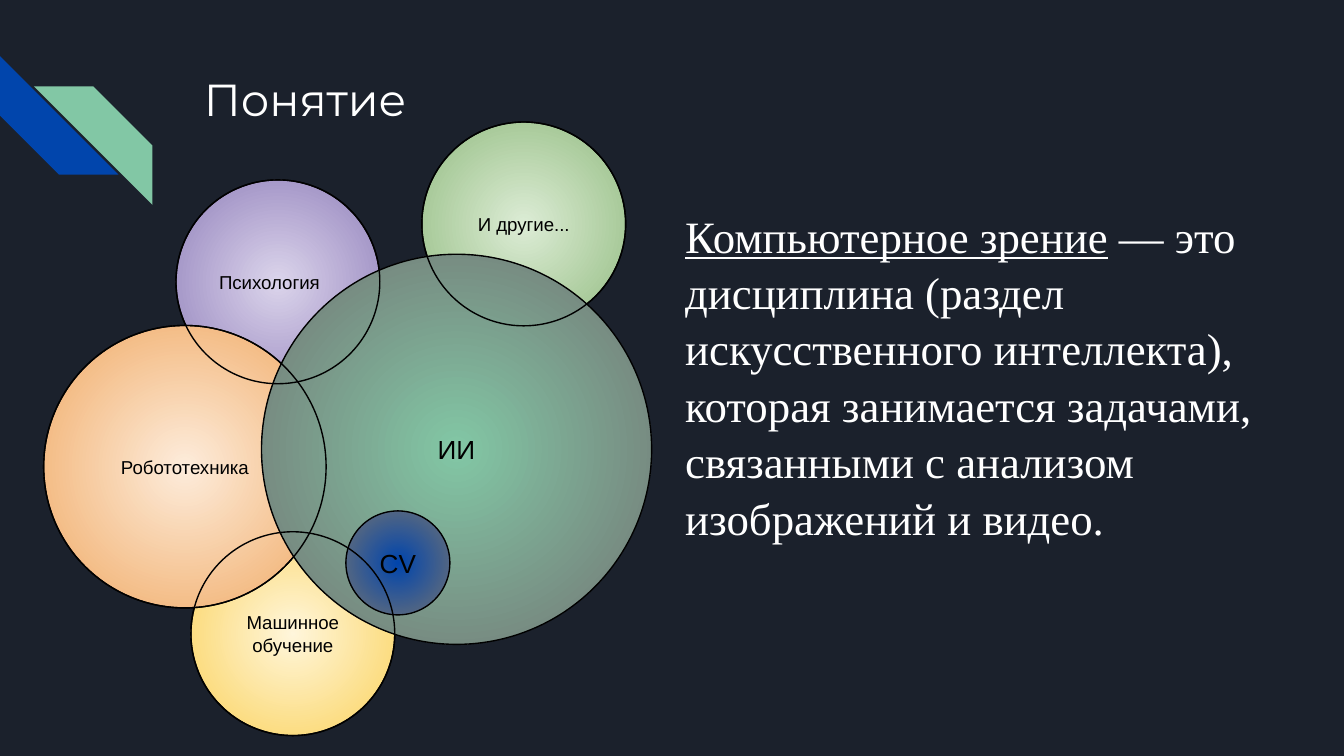
from lxml import etree
from pptx import Presentation
from pptx.dml.color import RGBColor
from pptx.enum.shapes import MSO_SHAPE as SHAPE
from pptx.enum.text import MSO_ANCHOR as ANCHOR, PP_ALIGN as ALIGN
from pptx.oxml.ns import qn
from pptx.util import Pt

NAVY = RGBColor(0x1B, 0x21, 0x2C)
BLUE = RGBColor(0x01, 0x45, 0xAC)
GREEN = RGBColor(0x82, 0xC7, 0xA5)
GRAY = RGBColor(0x73, 0x73, 0x73)
WHITE = RGBColor(0xFF, 0xFF, 0xFF)
BLACK = RGBColor(0x00, 0x00, 0x00)
LILAC, PURPLE = RGBColor(0xDB, 0xD4, 0xEB), RGBColor(0x91, 0x80, 0xBB)
CREAM, YELLOW = RGBColor(0xFF, 0xF6, 0xDB), RGBColor(0xFA, 0xD2, 0x5C)
MINT, LEAF = RGBColor(0xDC, 0xEC, 0xD5), RGBColor(0x93, 0xBC, 0x81)
PEACH, ORANGE = RGBColor(0xFD, 0xEC, 0xDB), RGBColor(0xF0, 0xA9, 0x63)

TITLE = "Понятие"
TERM = "Компьютерное зрение"
DEFINITION = (" — это дисциплина (раздел искусственного интеллекта), которая "
              "занимается задачами, связанными с анализом изображений и видео.")

# label: (left, top, diameter), (centre colour, edge colour), text size, alignment
FIELDS = {
    "Психология": ((94.3, 96.4, 109.2), (LILAC, PURPLE), 10, ALIGN.LEFT),
    "Машинное обучение": ((102.3, 284.9, 109.2), (CREAM, YELLOW), 10, ALIGN.CENTER),
    "И другие...": ((226, 65.4, 109.2), (MINT, LEAF), 10, ALIGN.CENTER),
    "Робототехника": ((23.4, 174.4, 151.3), (PEACH, ORANGE), 10, ALIGN.CENTER),
    "ИИ": ((140.1, 136.2, 209), (GREEN, GRAY), 14, ALIGN.CENTER),
    "CV": ((185.3, 273.7, 55.7), (BLUE, GRAY), 14, ALIGN.CENTER),
}
OUTLINED = ["И другие...", "Психология", "Робототехника", "Машинное обучение"]

# left, top, colour, rotation, mirrored
STRIPES = [(0, 30.1, BLUE, 270, False), (18.2, 46.3, GREEN, 0, True)]
STRIPE_SIZE = 63.5


def add_run(paragraph, text, **font):
    run = paragraph.add_run()
    run.text = text
    color = font.pop("color")
    for key, value in font.items():
        setattr(run.font, key, value)
    run.font.color.rgb = color


def set_frame(frame, anchor):
    frame.word_wrap = True
    frame.vertical_anchor = anchor
    for side in ("left", "top", "right", "bottom"):
        setattr(frame, f"margin_{side}", Pt(7.2))
    return frame.paragraphs[0]


def add_text(slide, box, anchor):
    return set_frame(slide.shapes.add_textbox(*map(Pt, box)).text_frame, anchor)


def add_stripe(slide, left, top, color, rotation, mirrored):
    stripe = slide.shapes.add_shape(
        SHAPE.DIAGONAL_STRIPE, Pt(left), Pt(top), Pt(STRIPE_SIZE), Pt(STRIPE_SIZE))
    stripe.shadow.inherit = False
    stripe.fill.solid()
    stripe.fill.fore_color.rgb = color
    stripe.line.fill.background()
    stripe.rotation = rotation
    if mirrored:
        stripe.element.spPr.find(qn("a:xfrm")).set("flipH", "1")


def add_circle(slide, left, top, diameter):
    """Add an unfilled circle with a thin black outline."""
    circle = slide.shapes.add_shape(
        SHAPE.OVAL, Pt(left), Pt(top), Pt(diameter), Pt(diameter))
    circle.shadow.inherit = False
    circle.fill.background()
    circle.line.color.rgb = BLACK
    circle.line.width = Pt(0.75)
    return circle


def fill_radial(shape, colors):
    shape.fill.gradient()
    for stop, color, position in zip(shape.fill.gradient_stops, colors, (0, 1)):
        stop.color.rgb = color
        stop.position = position
    gradient = shape.element.spPr.find(qn("a:gradFill"))
    gradient.remove(gradient.find(qn("a:lin")))
    radial = etree.SubElement(gradient, qn("a:path"), {"path": "circle"})
    etree.SubElement(radial, qn("a:fillToRect"),
                     dict.fromkeys("ltrb", "50000"))


def main():
    prs = Presentation()
    prs.slide_width, prs.slide_height = Pt(720), Pt(405)
    slide = prs.slides.add_slide(prs.slide_layouts[6])
    slide.background.fill.solid()
    slide.background.fill.fore_color.rgb = NAVY

    for stripe in STRIPES:
        add_stripe(slide, *stripe)

    title = add_text(slide, (102.2, 31, 554.4, 72), ANCHOR.TOP)
    add_run(title, TITLE, name="Montserrat", size=Pt(24), color=WHITE)

    for label, (place, colors, size, alignment) in FIELDS.items():
        circle = add_circle(slide, *place)
        fill_radial(circle, colors)
        caption = set_frame(circle.text_frame, ANCHOR.MIDDLE)
        caption.alignment = alignment
        add_run(caption, label, name="Arial", size=Pt(size), color=BLACK)
    for label in OUTLINED:
        add_circle(slide, *FIELDS[label][0])

    body = add_text(slide, (360, 80.6, 338.4, 240.5), ANCHOR.MIDDLE)
    body.line_spacing = 1.05
    for text, underline in ((TERM, True), (DEFINITION, False)):
        add_run(body, text, name="Times New Roman", size=Pt(24),
                underline=underline, color=WHITE)

    prs.save("out.pptx")


if __name__ == "__main__":
    main()
